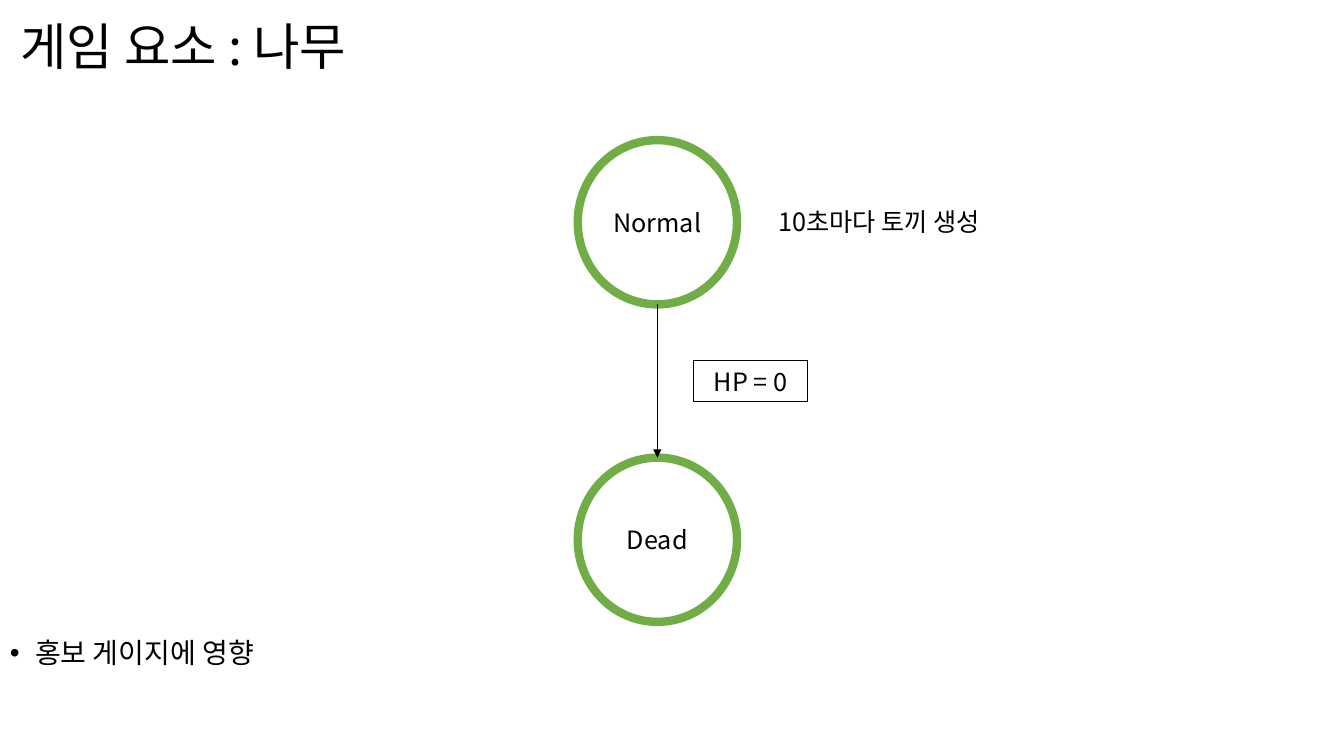
from dataclasses import dataclass

import pptx
import pptx.dml.color
import pptx.enum.shapes
import pptx.enum.text
import pptx.oxml
import pptx.oxml.ns
import pptx.util
from pptx.util import Inches

TITLE = "게임 요소 : 나무"
STATES = ["Normal", "Dead"]
CONDITION = "HP = 0"
NORMAL_ACTION = "10초마다 토끼 생성"
EFFECT = "홍보 게이지에 영향"

STATE_LEFT, STATE_TOP, STATE_PITCH = 5.73, 1.39, 3.15
STATE_WIDTH, STATE_HEIGHT = 1.58, 1.63

ALIGN = pptx.enum.text.PP_ALIGN
ANCHOR = pptx.enum.text.MSO_ANCHOR
SHAPE = pptx.enum.shapes.MSO_SHAPE


@dataclass(frozen=True)
class Theme:
    font: str = "Noto Sans CJK KR"
    ink: str = "000000"
    ring: str = "70AD47"
    title_size: int = 36
    effect_size: int = 20
    label_size: int = 18


THEME = Theme()


def color(value):
    return pptx.dml.color.RGBColor.from_string(value)


def add_xml(parent, tag, attributes=""):
    namespace = pptx.oxml.ns.nsdecls("a")
    parent.append(pptx.oxml.parse_xml(f"<a:{tag} {namespace} {attributes}/>"))


def write(frame, text, size, align=ALIGN.LEFT, bullet=False, spacing=None):
    paragraph = frame.paragraphs[0]
    paragraph.text = text
    paragraph.alignment = align
    paragraph.line_spacing = spacing
    properties = paragraph._p.get_or_add_pPr()
    if bullet:
        indent = Inches(0.25)
        properties.set("marL", str(indent))
        properties.set("indent", str(-indent))
        add_xml(properties, "buFont", 'typeface="Arial"')
        add_xml(properties, "buChar", 'char="•"')
    font = paragraph.font
    font.size = pptx.util.Pt(size)
    font.name = THEME.font
    font.color.rgb = color(THEME.ink)
    # Hangul takes its typeface from the East Asian slot.
    add_xml(properties.defRPr, "ea", f'typeface="{THEME.font}"')


def add_text(slide, box, text, size, wrap=True, anchor=ANCHOR.TOP, **style):
    frame = slide.shapes.add_textbox(*map(Inches, box)).text_frame
    frame.word_wrap = wrap
    frame.vertical_anchor = anchor
    write(frame, text, size, **style)
    return frame


def add_outlined(slide, kind, box, text, line_color, line_width):
    shape = slide.shapes.add_shape(kind, *map(Inches, box))
    shape.shadow.inherit = False
    shape.fill.background()
    shape.line.color.rgb = color(line_color)
    shape.line.width = pptx.util.Pt(line_width)
    shape.text_frame.vertical_anchor = ANCHOR.MIDDLE
    write(shape.text_frame, text, THEME.label_size, ALIGN.CENTER)


def add_transition(slide, x, top, bottom):
    arrow = slide.shapes.add_connector(
        pptx.enum.shapes.MSO_CONNECTOR.STRAIGHT,
        Inches(x), Inches(top), Inches(x), Inches(bottom))
    arrow.line.color.rgb = color(THEME.ink)
    arrow.line.width = pptx.util.Pt(0.5)
    add_xml(arrow.line._get_or_add_ln(), "tailEnd", 'type="triangle"')
    add_xml(arrow._element.spPr, "effectLst")


def main():
    deck = pptx.Presentation()
    deck.slide_width, deck.slide_height = Inches(13.33), Inches(7.5)
    slide = deck.slides.add_slide(deck.slide_layouts[6])

    heading = add_text(slide, (-0.02, -0.01, 11.5, 0.99), TITLE,
                       THEME.title_size, anchor=ANCHOR.MIDDLE, spacing=0.9)
    heading.margin_left = Inches(0.22)

    tops = [STATE_TOP + i * STATE_PITCH for i in range(len(STATES))]
    for state, top in zip(STATES, tops):
        add_outlined(slide, SHAPE.OVAL,
                     (STATE_LEFT, top, STATE_WIDTH, STATE_HEIGHT),
                     state, THEME.ring, 6)
    for top, next_top in zip(tops, tops[1:]):
        add_transition(slide, STATE_LEFT + STATE_WIDTH / 2,
                       top + STATE_HEIGHT, next_top)

    add_outlined(slide, SHAPE.RECTANGLE, (6.88, 3.58, 1.13, 0.4),
                 CONDITION, THEME.ink, 0.75)
    add_text(slide, (7.62, 2, 2.42, 0.4), NORMAL_ACTION,
             THEME.label_size, wrap=False)
    add_text(slide, (0, 6.29, 12.63, 1.2), EFFECT,
             THEME.effect_size, bullet=True, spacing=0.9)

    deck.save("out.pptx")


if __name__ == "__main__":
    main()
